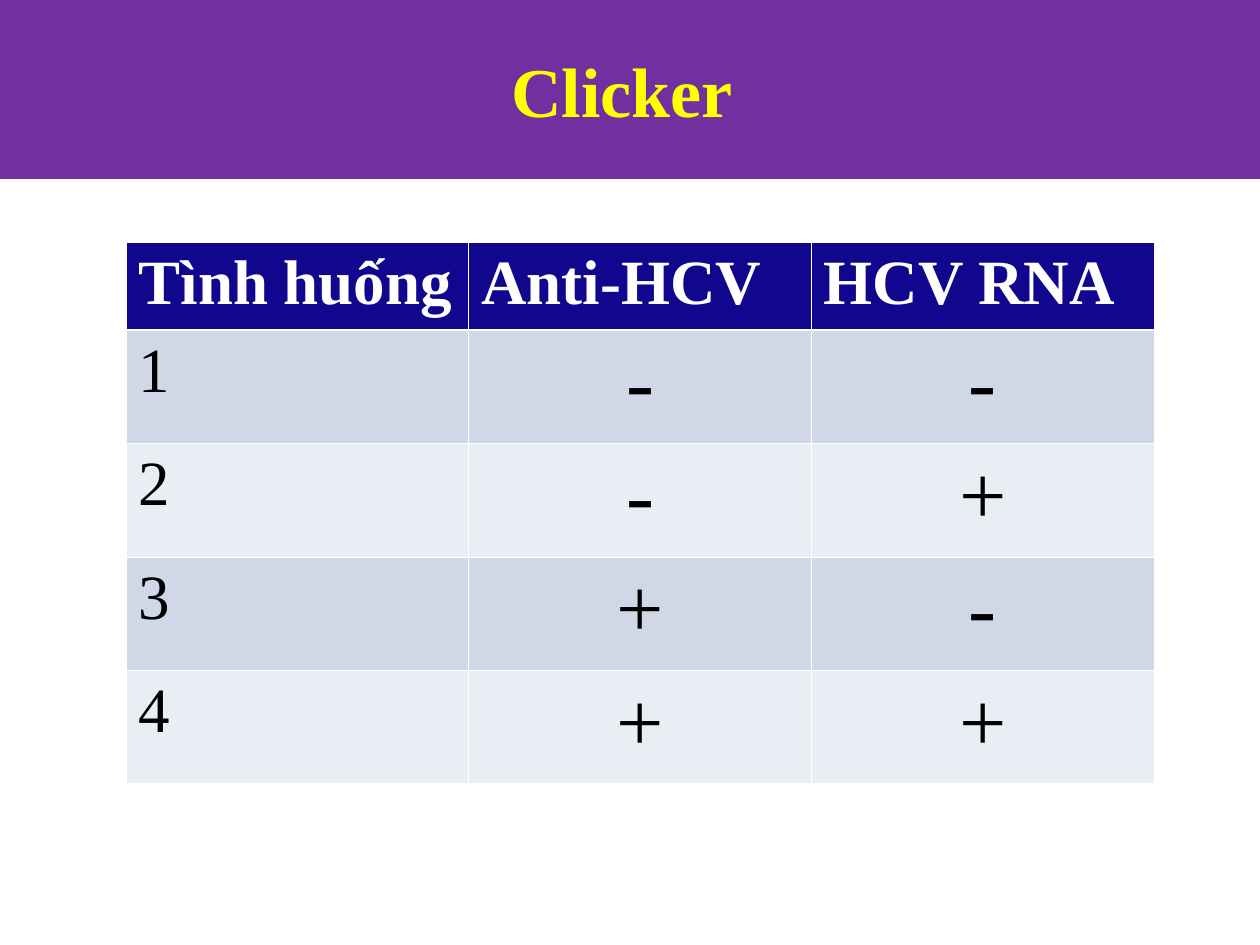
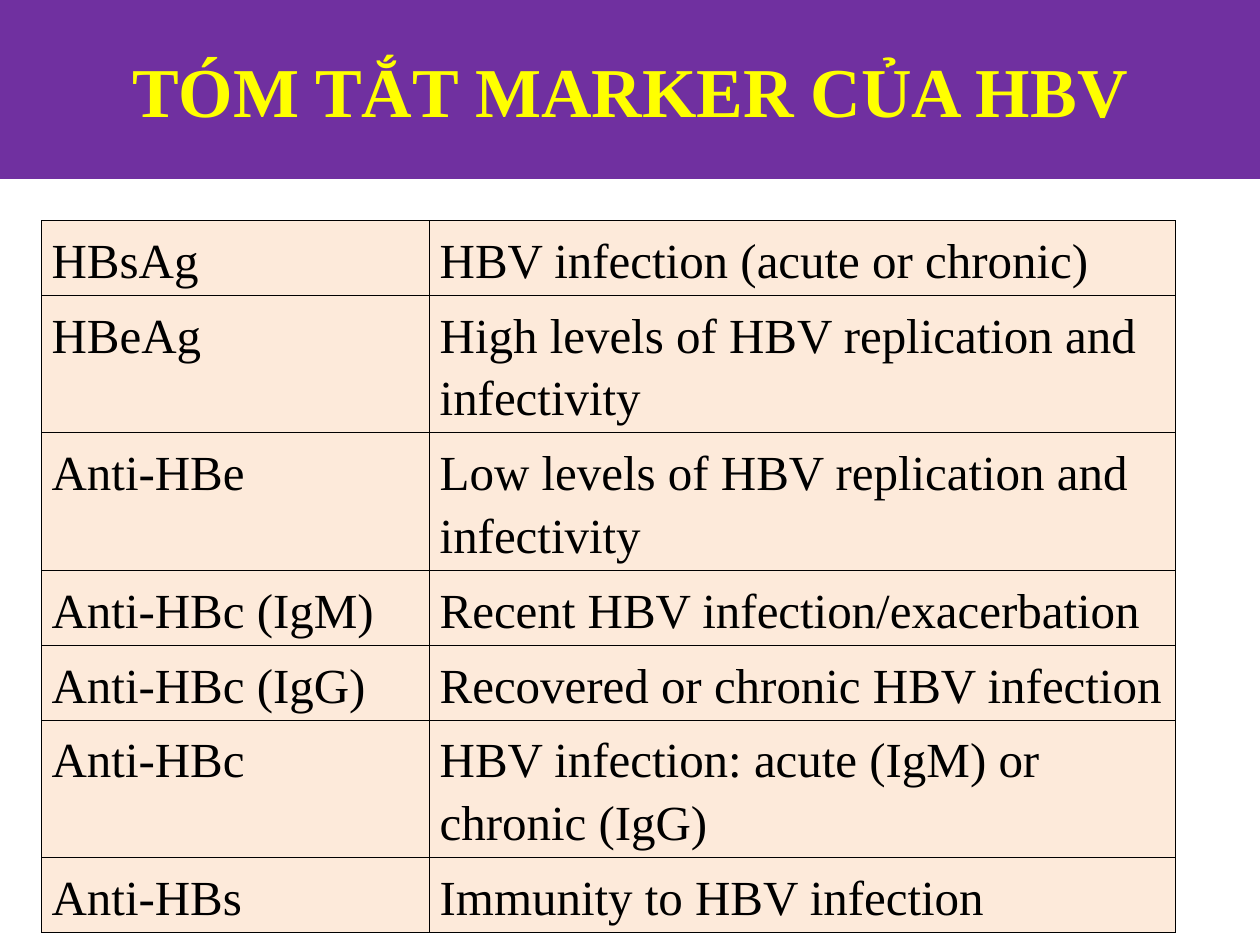
from lxml import etree
from pptx import Presentation
from pptx.dml.color import RGBColor
from pptx.enum.shapes import MSO_SHAPE
from pptx.enum.text import MSO_ANCHOR, PP_ALIGN
from pptx.oxml.ns import qn
from pptx.util import Inches, Pt

RECTANGLE = MSO_SHAPE.RECTANGLE
MIDDLE = MSO_ANCHOR.MIDDLE
LEFT, CENTER = PP_ALIGN.LEFT, PP_ALIGN.CENTER

PURPLE = RGBColor(0x70, 0x30, 0xA0)
YELLOW = RGBColor(0xFF, 0xFF, 0x00)
NAVY = RGBColor(0x11, 0x07, 0x8F)
WHITE = RGBColor(0xFF, 0xFF, 0xFF)
BLACK = RGBColor(0x00, 0x00, 0x00)
BLUE_BAND = RGBColor(0xD0, 0xD8, 0xE8)
PALE_BAND = RGBColor(0xE9, 0xED, 0xF4)
PEACH = RGBColor(0xFD, 0xEA, 0xDA)
FONT = "Times New Roman"
THIN, THICK = 0.45, 1.47

deck = Presentation()
deck.slide_width, deck.slide_height = Inches(10), Inches(7.5)


def add_table_slide(title, left, top, widths, heights):
    """Add a slide with the title band and an empty, unstyled table."""
    slide = deck.slides.add_slide(deck.slide_layouts[6])
    band = slide.shapes.add_shape(RECTANGLE, 0, 0, deck.slide_width, Inches(1.42))
    band.shadow.inherit = False
    band.fill.solid()
    band.fill.fore_color.rgb = PURPLE
    band.line.fill.background()
    band.text_frame.vertical_anchor = MIDDLE
    band.text_frame.word_wrap = True
    para = band.text_frame.paragraphs[0]
    para.alignment = CENTER
    span = para.add_run()
    span.text = title
    span.font.name, span.font.size, span.font.bold = FONT, Pt(40), True
    span.font.color.rgb = YELLOW

    table = slide.shapes.add_table(
        len(heights), len(widths), Inches(left), Inches(top),
        Inches(sum(widths)), Inches(sum(heights))).table
    table.first_row = table.horz_banding = False
    for column, width in zip(table.columns, widths):
        column.width = Inches(width)
    for row, height in zip(table.rows, heights):
        row.height = Inches(height)
    return table


def fill_cell(cell, text, size, color, fill, border, margin,
              bold=False, align=LEFT, spacing=1.0, top=THIN, bottom=THIN):
    """Write one cell with its borders, fill and text."""
    properties = cell._tc.get_or_add_tcPr()
    for side, width in (("L", THIN), ("R", THIN), ("T", top), ("B", bottom)):
        line = etree.SubElement(properties, qn(f"a:ln{side}"), w=str(Pt(width)))
        solid = etree.SubElement(line, qn("a:solidFill"))
        etree.SubElement(solid, qn("a:srgbClr"), val=str(border))
    cell.fill.solid()
    cell.fill.fore_color.rgb = fill
    cell.margin_left = cell.margin_right = Inches(margin)
    cell.margin_top = cell.margin_bottom = Inches(0.05)
    para = cell.text_frame.paragraphs[0]
    para.alignment, para.line_spacing = align, spacing
    span = para.add_run()
    span.text = text
    span.font.name, span.font.size, span.font.bold = FONT, Pt(size), bold
    span.font.color.rgb = color


# Slide 1: HCV test situations
situations = [
    ("Tình huống", "Anti-HCV", "HCV RNA"),
    ("1", "-", "-"),
    ("2", "-", "+"),
    ("3", "+", "-"),
    ("4", "+", "+"),
]
table = add_table_slide("Clicker ", 1, 1.92, [2.72] * 3, [0.7] + [0.9] * 4)
for row, texts in enumerate(situations):
    header = row == 0
    band_fill = BLUE_BAND if row % 2 else PALE_BAND
    for column, text in enumerate(texts):
        result = not header and column > 0
        fill_cell(table.cell(row, column), text, 48 if result else 36,
                  WHITE if header else BLACK, NAVY if header else band_fill,
                  WHITE, 0.1, bold=header, align=CENTER if result else LEFT,
                  top=THICK if row == 1 else THIN,
                  bottom=THICK if header else THIN)

# Slide 2: HBV markers, with the number of text lines in each row
markers = [
    ("HBsAg", "HBV infection (acute or chronic)", 1),
    ("HBeAg", "High levels of HBV replication and infectivity", 2),
    ("Anti-HBe", "Low levels of HBV replication and infectivity", 2),
    ("Anti-HBc (IgM)", "Recent HBV infection/exacerbation", 1),
    ("Anti-HBc (IgG)", "Recovered or chronic HBV infection", 1),
    ("Anti-HBc", "HBV infection: acute (IgM) or chronic (IgG)", 2),
    ("Anti-HBs", "Immunity to HBV infection", 1),
]
LINE_HEIGHT = 0.54
table = add_table_slide("TÓM TẮT MARKER CỦA HBV", 0.33, 1.75, [3.08, 5.92],
                        [LINE_HEIGHT * lines for *_, lines in markers])
for row, (marker, meaning, _) in enumerate(markers):
    for column, text in enumerate((marker, meaning)):
        fill_cell(table.cell(row, column), text, 28, BLACK, PEACH, BLACK, 0.08,
                  spacing=1.15)

deck.save("out.pptx")
